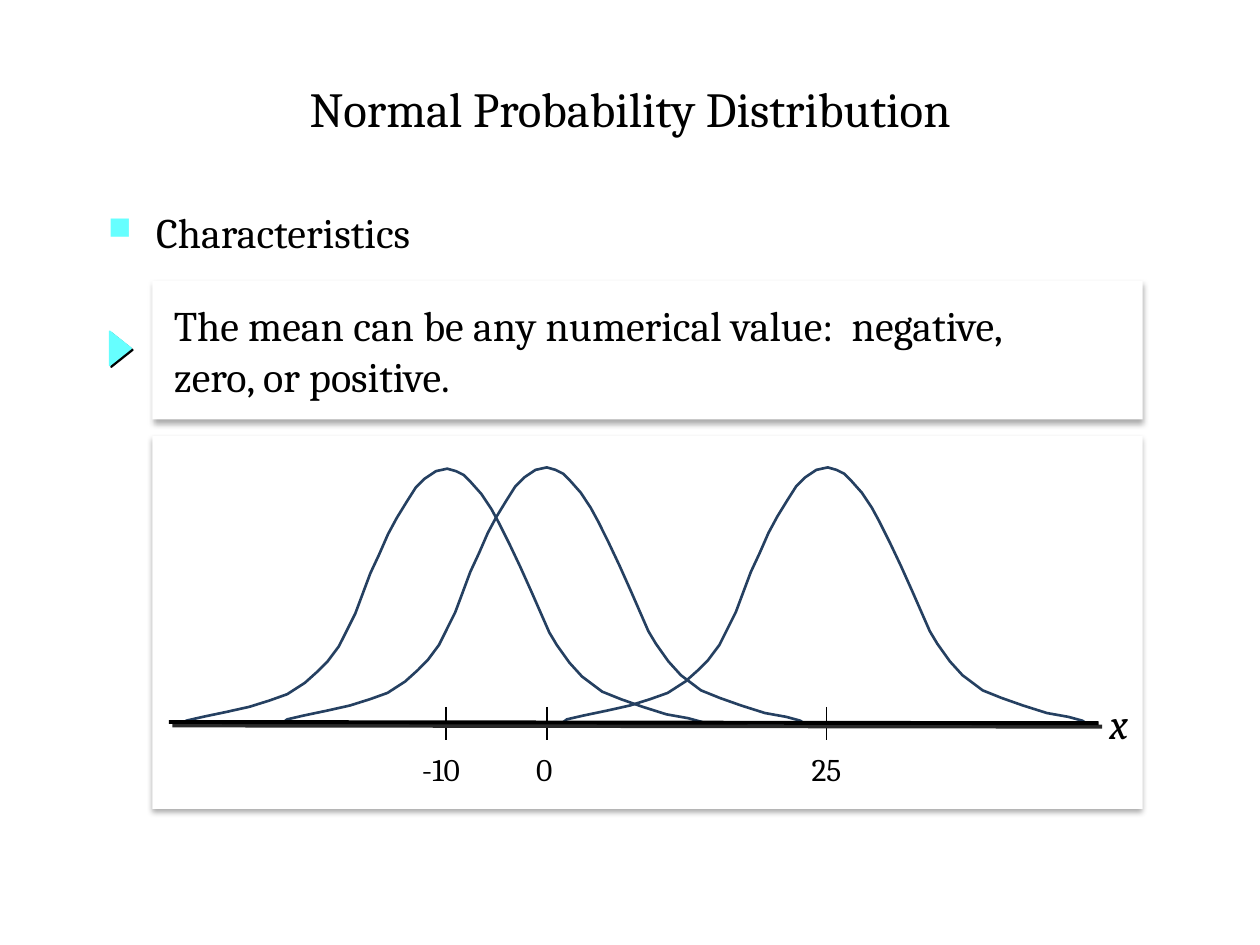
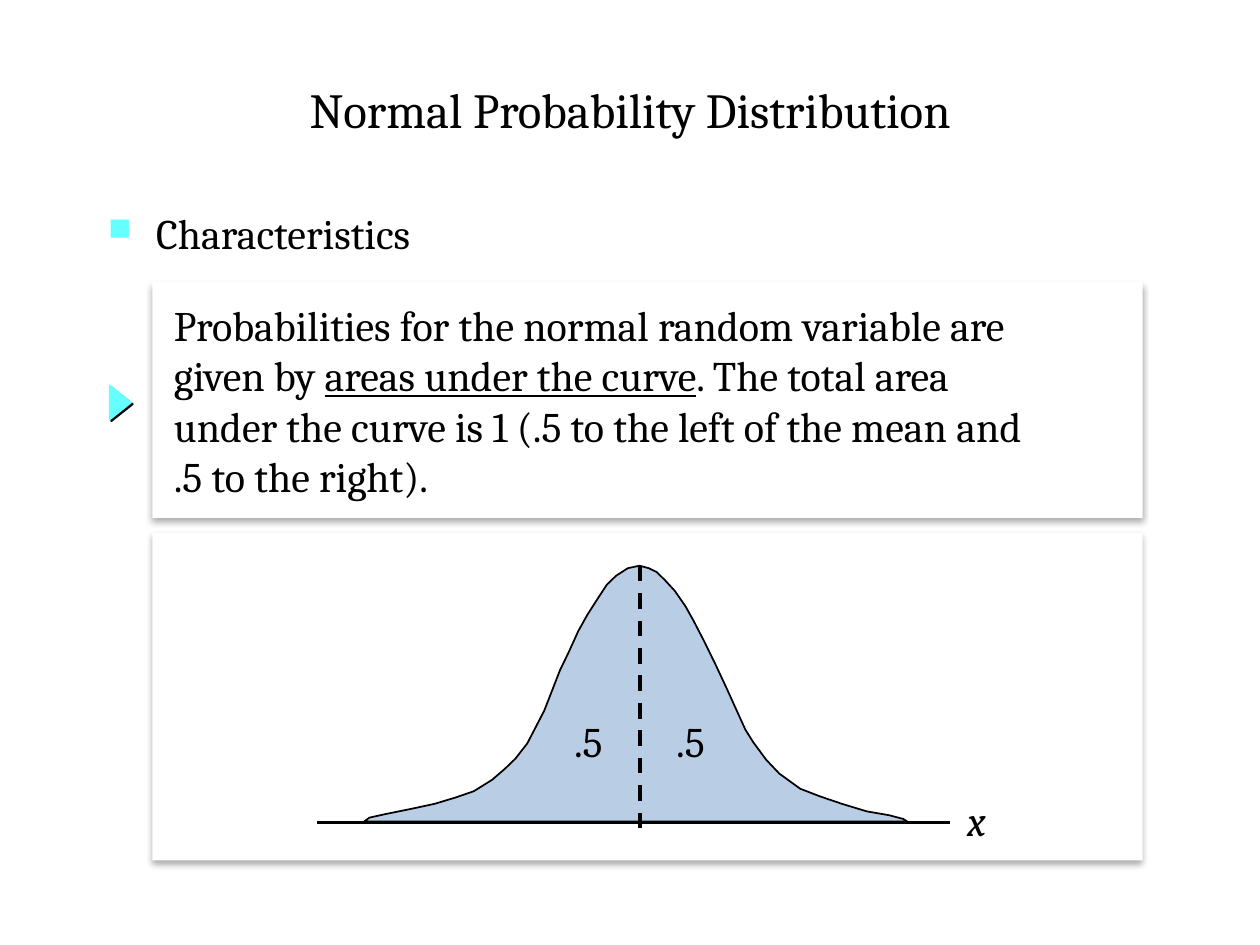
from lxml.etree import SubElement
from pptx import Presentation
from pptx.dml.color import RGBColor
from pptx.enum.dml import MSO_LINE
from pptx.enum.shapes import MSO_CONNECTOR, MSO_SHAPE
from pptx.enum.text import MSO_ANCHOR, MSO_AUTO_SIZE, PP_ALIGN
from pptx.oxml.ns import qn
from pptx.util import Inches, Pt

FONT = "Cambria"
COLORS = {
    "text": "000000",
    "panel": "FFFFFF",
    "accent": "66FFFF",
    "curve": "254061",
    "area": "B9CDE5",
    "axis_shadow": "292929",
}
PANEL_SHADOW = {"color": "text", "alpha": 32, "blur": 3.5, "distance": 2.2, "angle": 90}
MARKER_SHADOW = {"color": "text", "alpha": 100, "blur": 0, "distance": 1.4, "angle": 45}
AXIS_SHADOW = {"color": "axis_shadow", "alpha": 100, "blur": 0, "distance": 2.8, "angle": 45}

TITLE = "Normal Probability Distribution"
HEADING = "Characteristics"
PANEL_LEFT, PANEL_WIDTH = 1.21, 7.86

MEAN_SLIDE = {
    "title_top": 0.48,
    "heading_top": 1.59,
    "statement": (2.23, 1.1),
    "chart": (3.46, 2.96),
    "marker_top": 2.68,
    "lines": [
        [("The mean can be any numerical value:  negative,", False)],
        [("zero, or positive.", False)],
    ],
}
AREA_SLIDE = {
    "title_top": 0.49,
    "heading_top": 1.6,
    "statement": (2.24, 1.87),
    "chart": (4.23, 2.6),
    "marker_top": 3.11,
    "lines": [
        [("Probabilities for the normal random variable are", False)],
        [("given by ", False), ("areas under the curve", True), (". The total area", False)],
        [("under the curve is 1 (.5 to the left of the mean and", False)],
        [(".5 to the right).", False)],
    ],
}

MEAN_CURVES = [(1.44, 5.75, 4.16), (2.24, 5.74, 4.14), (4.46, 5.74, 4.16)]
MEAN_TICKS = [("-10", 3.54, 3.5), ("0", 4.34, 4.32), ("25", 6.56, 6.56)]
HALF_AREA_CENTERS = [4.67, 5.48]

BELL_WIDTH = 4.16
BELL = [
    (0, 0), (0.04, 0.03), (0.17, 0.06), (0.36, 0.1), (0.54, 0.14), (0.7, 0.19),
    (0.84, 0.24), (0.98, 0.33), (1.08, 0.42), (1.16, 0.5), (1.25, 0.62), (1.31, 0.74),
    (1.38, 0.88), (1.44, 1.04), (1.5, 1.2), (1.57, 1.35), (1.64, 1.51), (1.71, 1.64),
    (1.79, 1.77), (1.86, 1.88), (1.93, 1.95), (2.02, 2.01), (2.11, 2.03), (2.18, 2.01),
    (2.24, 1.98), (2.3, 1.92), (2.38, 1.83), (2.46, 1.71), (2.52, 1.6), (2.6, 1.44),
    (2.69, 1.25), (2.78, 1.05), (2.85, 0.89), (2.92, 0.73), (2.98, 0.63), (3.08, 0.49),
    (3.18, 0.38), (3.34, 0.26), (3.49, 0.2), (3.66, 0.14), (3.85, 0.08), (4.02, 0.05),
    (4.13, 0.02), (4.16, 0),
]


def color(name):
    return RGBColor.from_string(COLORS[name])


def set_effects(shape, shadow=None):
    effects = SubElement(shape._element.spPr, qn("a:effectLst"))
    if shadow:
        outer = SubElement(effects, qn("a:outerShdw"), {
            "blurRad": str(Pt(shadow["blur"])),
            "dist": str(Pt(shadow["distance"])),
            "dir": str(shadow["angle"] * 60000),
            "algn": "ctr",
            "rotWithShape": "0",
        })
        shade = SubElement(outer, qn("a:srgbClr"), val=COLORS[shadow["color"]])
        SubElement(shade, qn("a:alpha"), val=str(shadow["alpha"] * 1000))


def add_run(paragraph, text, size, italic=False, underline=False):
    run = paragraph.add_run()
    run.text = text
    run.font.name = FONT
    run.font.size = Pt(size)
    run.font.italic = italic
    run.font.underline = underline
    run.font.color.rgb = color("text")


def add_title(slide, top):
    title = slide.shapes.title
    title.left, title.top = Inches(0.75), Inches(top)
    title.width, title.height = Inches(8.5), Inches(0.75)
    frame = title.text_frame
    frame.auto_size = MSO_AUTO_SIZE.NONE
    frame.vertical_anchor = MSO_ANCHOR.MIDDLE
    paragraph = frame.paragraphs[0]
    paragraph.alignment = PP_ALIGN.CENTER
    add_run(paragraph, TITLE, 28)


def add_heading(slide, top):
    box = slide.shapes.add_textbox(Inches(0.76), Inches(top), Inches(3.98), Inches(0.54))
    box.text_frame.word_wrap = True
    paragraph = box.text_frame.paragraphs[0]
    properties = paragraph._p.get_or_add_pPr()
    properties.set("marL", str(Inches(0.38)))
    properties.set("indent", str(Inches(-0.38)))
    bullet_color = SubElement(properties, qn("a:buClr"))
    SubElement(bullet_color, qn("a:srgbClr"), val=COLORS["accent"])
    SubElement(properties, qn("a:buSzPct"), val="75000")
    SubElement(properties, qn("a:buChar"), char="■")
    add_run(paragraph, HEADING, 24)


def add_panel(slide, top, height):
    panel = slide.shapes.add_shape(
        MSO_SHAPE.RECTANGLE, Inches(PANEL_LEFT), Inches(top), Inches(PANEL_WIDTH), Inches(height))
    panel.fill.solid()
    panel.fill.fore_color.rgb = color("panel")
    panel.line.fill.background()
    set_effects(panel, PANEL_SHADOW)
    return panel


def add_statement(slide, place, lines):
    frame = add_panel(slide, *place).text_frame
    frame.word_wrap = True
    frame.margin_left = Inches(0.17)
    frame.vertical_anchor = MSO_ANCHOR.MIDDLE
    for index, parts in enumerate(lines):
        paragraph = frame.add_paragraph() if index else frame.paragraphs[0]
        paragraph.alignment = PP_ALIGN.LEFT
        for text, underline in parts:
            add_run(paragraph, text, 24, underline=underline)


def add_marker(slide, top):
    marker = slide.shapes.add_shape(
        MSO_SHAPE.ISOSCELES_TRIANGLE, Inches(0.82), Inches(top), Inches(0.27), Inches(0.17))
    marker.rotation = 90
    marker.fill.solid()
    marker.fill.fore_color.rgb = color("accent")
    marker.line.color.rgb = color("accent")
    marker.line.width = Pt(1)
    set_effects(marker, MARKER_SHADOW)


def add_line(slide, start, end, width, shadow=None, dash=None):
    line = slide.shapes.add_connector(
        MSO_CONNECTOR.STRAIGHT, *(Inches(value) for value in start + end))
    line.line.color.rgb = color("text")
    line.line.width = Pt(width)
    if dash:
        line.line.dash_style = dash
    set_effects(line, shadow)


def add_bell(slide, left, base, width, line_color, line_width, fill=None):
    stretch = width / BELL_WIDTH
    points = [(Inches(left + x * stretch), Inches(base - y)) for x, y in BELL]
    builder = slide.shapes.build_freeform(*points[0])
    builder.add_line_segments(points[1:], close=True)
    bell = builder.convert_to_shape()
    if fill:
        bell.fill.solid()
        bell.fill.fore_color.rgb = color(fill)
    else:
        bell.fill.background()
    bell.line.color.rgb = color(line_color)
    bell.line.width = Pt(line_width)
    set_effects(bell)


def add_label(slide, text, center, top, size=24, italic=False):
    width = 0.5
    box = slide.shapes.add_textbox(
        Inches(center - width / 2), Inches(top), Inches(width), Inches(0.5))
    box.text_frame.word_wrap = False
    paragraph = box.text_frame.paragraphs[0]
    paragraph.alignment = PP_ALIGN.CENTER
    add_run(paragraph, text, size, italic=italic)


def add_base_slide(presentation, content):
    slide = presentation.slides.add_slide(presentation.slide_layouts[5])
    add_title(slide, content["title_top"])
    add_heading(slide, content["heading_top"])
    add_panel(slide, *content["chart"])
    add_statement(slide, content["statement"], content["lines"])
    add_marker(slide, content["marker_top"])
    return slide


def build_mean_slide(presentation):
    slide = add_base_slide(presentation, MEAN_SLIDE)
    for left, base, width in MEAN_CURVES:
        add_bell(slide, left, base, width, "curve", 1.5)
    for text, tick, center in MEAN_TICKS:
        add_line(slide, (tick, 5.61), (tick, 5.87), 1)
        add_label(slide, text, center, 5.9, size=18)
    add_label(slide, "x", 8.88, 5.49, italic=True)
    add_line(slide, (1.34, 5.73), (8.72, 5.74), 2.25, shadow=AXIS_SHADOW)


def build_area_slide(presentation):
    slide = add_base_slide(presentation, AREA_SLIDE)
    add_line(slide, (2.52, 6.53), (7.54, 6.53), 1.5)
    add_bell(slide, 2.89, 6.52, 4.31, "text", 1, fill="area")
    add_line(slide, (5.08, 4.49), (5.08, 6.62), 2.25, dash=MSO_LINE.DASH)
    for center in HALF_AREA_CENTERS:
        add_label(slide, ".5", center, 5.63)
    add_label(slide, "x", 7.75, 6.26, italic=True)


def main():
    presentation = Presentation()
    presentation.slide_width, presentation.slide_height = Inches(10), Inches(7.5)
    build_mean_slide(presentation)
    build_area_slide(presentation)
    presentation.save("out.pptx")


if __name__ == "__main__":
    main()
